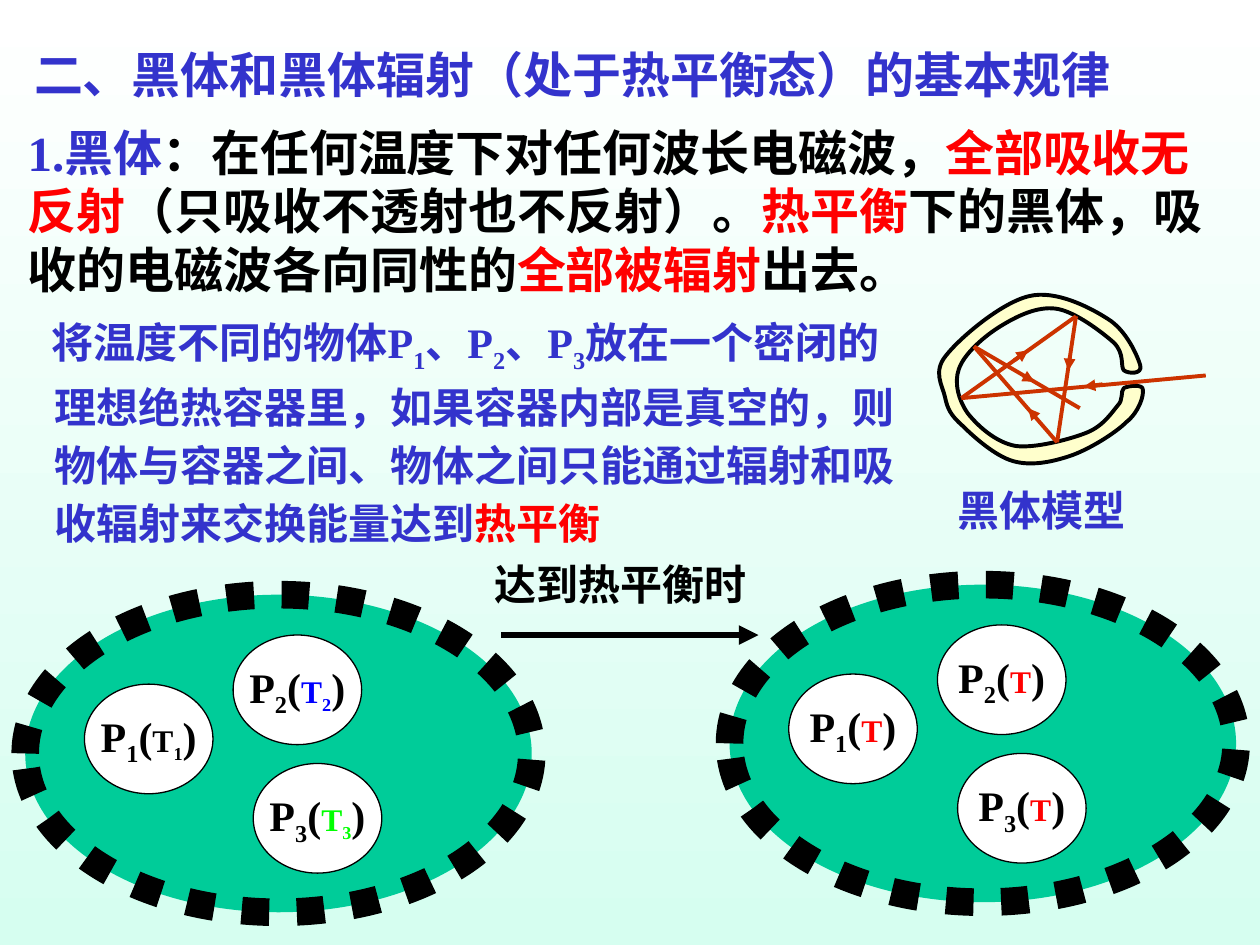
from dataclasses import dataclass

from lxml import etree
from pptx import Presentation
from pptx.dml.color import RGBColor
from pptx.enum.dml import MSO_LINE
from pptx.enum.shapes import MSO_CONNECTOR, MSO_SHAPE
from pptx.enum.text import MSO_ANCHOR, MSO_AUTO_SIZE, PP_ALIGN
from pptx.oxml.ns import qn
from pptx.util import Inches, Pt


@dataclass(frozen=True)
class Theme:
    blue: str = "3333CC"
    black: str = "000000"
    red: str = "FF0000"
    green: str = "00FF00"
    bright_blue: str = "0000FF"
    white: str = "FFFFFF"
    mint: str = "D6FEF0"
    chamber: str = "00CC99"
    wall: str = "FFFFCC"
    ray: str = "CC3300"
    latin: str = "Times New Roman"
    asian: str = "Noto Sans CJK SC"
    large: int = 28
    medium: int = 24
    small: int = 18


THEME = Theme()
OVAL, STRAIGHT = MSO_SHAPE.OVAL, MSO_CONNECTOR.STRAIGHT
LEFT, CENTER = PP_ALIGN.LEFT, PP_ALIGN.CENTER
TOP, MIDDLE = MSO_ANCHOR.TOP, MSO_ANCHOR.MIDDLE

# Content: runs are (text, colour) or (text, colour, is subscript)
TITLE = [("二、", THEME.blue), ("黑体和黑体辐射（处于热平衡态）的基本规律", THEME.blue)]
DEFINITION = [
    ("1.", THEME.blue), ("黑体", THEME.blue),
    ("：在任何温度下对任何波长电磁波，", THEME.black),
    ("全部吸收无反射", THEME.red),
    ("（只吸收不透射也不反射）。", THEME.black),
    ("热平衡", THEME.red),
    ("下的黑体，吸收的电磁波各向同性的", THEME.black),
    ("全部被辐射", THEME.red), ("出去。", THEME.black),
]
EXPLANATION = [
    ("将温度不同的物体P", THEME.blue), ("1", THEME.blue, True),
    ("、P", THEME.blue), ("2", THEME.blue, True),
    ("、P", THEME.blue), ("3", THEME.blue, True),
    ("放在一个密闭的理想绝热容器里，如果容器内部是真空的，"
     "则物体与容器之间、物体之间只能通过辐射和吸收辐射来交换能量达到", THEME.blue),
    ("热平衡", THEME.red),
]
LABELS = [
    ("黑体模型", THEME.blue, (7.5, 3.8, 1.76, 0.5)),
    ("达到热平衡时", THEME.black, (3.83, 4.38, 2.2, 0.5)),
]

# Cavity wall: a start point, then Bezier triples
CAVITY_START = (7.64, 3.38)
CAVITY_CURVES = [
    (7.55, 3.3, 7.52, 3.25, 7.5, 3.15), (7.48, 3.06, 7.4, 2.95, 7.51, 2.82),
    (7.62, 2.68, 7.95, 2.4, 8.17, 2.35), (8.38, 2.3, 8.65, 2.44, 8.79, 2.53),
    (8.94, 2.62, 9.03, 2.83, 9.05, 2.9), (9.07, 2.97, 8.96, 2.97, 8.92, 2.94),
    (8.89, 2.91, 8.93, 2.81, 8.84, 2.72), (8.75, 2.64, 8.53, 2.47, 8.38, 2.45),
    (8.23, 2.43, 8.07, 2.51, 7.94, 2.59), (7.81, 2.67, 7.65, 2.81, 7.61, 2.93),
    (7.57, 3.04, 7.61, 3.18, 7.68, 3.28), (7.76, 3.38, 7.9, 3.51, 8.06, 3.54),
    (8.21, 3.56, 8.48, 3.49, 8.61, 3.44), (8.75, 3.39, 8.82, 3.28, 8.87, 3.22),
    (8.92, 3.17, 8.89, 3.11, 8.92, 3.08), (8.96, 3.06, 9.07, 3.05, 9.07, 3.09),
    (9.08, 3.14, 9.04, 3.27, 8.94, 3.35), (8.85, 3.44, 8.64, 3.57, 8.49, 3.62),
    (8.34, 3.67, 8.18, 3.7, 8.04, 3.66), (7.9, 3.62, 7.73, 3.47, 7.64, 3.38),
]
RAY_POINTS = [(9.57, 2.98), (7.63, 3.16), (8.54, 2.51), (8.39, 3.51),
              (7.73, 2.75), (8.57, 3.24)]
RAY_ARROWS = [
    ((8.75, 3.05), (8.6, 3.07)), ((8.05, 2.86), (8.16, 2.78)),
    ((8.49, 2.84), (8.48, 2.94)), ((8.22, 3.31), (8.16, 3.24)),
    ((8.12, 2.98), (8.21, 3.03)),
]

# Chambers: corner, then temperature colour and subscript flag per body
CHAMBER_SIZE, BODY_SIZE = (4.02, 2.52), (1.02, 0.87)
BODY_OFFSETS = {"1": (0.47, 0.71), "3": (1.81, 1.34), "2": (1.65, 0.32)}
CHAMBERS = [
    ((0.2, 4.72), {"1": THEME.black, "2": THEME.bright_blue, "3": THEME.green}, True),
    ((5.79, 4.64), dict.fromkeys("123", THEME.red), False),
]
EQUILIBRIUM_ARROW = ((3.98, 5.04), (6.02, 5.04))


def color(value):
    return RGBColor.from_string(value)


def add_run(paragraph, text, run_color, size, subscript=False):
    run = paragraph.add_run()
    run.text = text
    font = run.font
    font.size, font.bold, font.name = Pt(size), True, THEME.latin
    font.color.rgb = color(run_color)
    properties = font._element
    if subscript:
        properties.set("baseline", "-25000")
    latin = properties.find(qn("a:latin"))
    latin.addnext(properties.makeelement(qn("a:ea"), {"typeface": THEME.asian}))


def fill_text(shape, runs, size, box, pitch=1.2, indent=(0, 0), wrap=True):
    shape.left, shape.top, shape.width, shape.height = map(Inches, box)
    frame = shape.text_frame
    frame.word_wrap, frame.auto_size = wrap, MSO_AUTO_SIZE.NONE
    frame.vertical_anchor = TOP
    paragraph = frame.paragraphs[0]
    properties = paragraph._p.get_or_add_pPr()
    properties.set("marL", str(Inches(indent[0])))
    properties.set("indent", str(Inches(indent[1])))
    etree.SubElement(properties, qn("a:buNone"))
    paragraph.alignment = LEFT
    paragraph.space_before = Pt(0)
    paragraph.line_spacing = Pt(round(pitch * size, 1))
    for text, run_color, *flags in runs:
        add_run(paragraph, text, run_color, size, *flags)


def add_line(shapes, start, end, line_color, width, arrow=False):
    line = shapes.add_connector(STRAIGHT, *map(Inches, (*start, *end)))
    line.line.color.rgb, line.line.width = color(line_color), Pt(width)
    if arrow:
        etree.SubElement(line.line._get_or_add_ln(), qn("a:tailEnd"), type="triangle")
    etree.SubElement(line._element.spPr, qn("a:effectLst"))


def style_shape(shape, fill_color, width):
    shape.shadow.inherit = False
    shape.fill.solid()
    shape.fill.fore_color.rgb = color(fill_color)
    shape.line.color.rgb, shape.line.width = color(THEME.black), Pt(width)


def add_cavity(shapes):
    points = [tuple(map(Inches, curve[i:i + 2]))
              for curve in CAVITY_CURVES for i in (0, 2, 4)]
    builder = shapes.build_freeform(*map(Inches, CAVITY_START))
    builder.add_line_segments(points, close=True)
    cavity = builder.convert_to_shape()
    # Turn every three straight segments into one Bezier curve
    segments = list(cavity._element.iter(qn("a:lnTo")))
    for first in range(0, len(segments), 3):
        curve = segments[first].makeelement(qn("a:cubicBezTo"), {})
        segments[first].addprevious(curve)
        for segment in segments[first:first + 3]:
            curve.append(segment[0])
            segment.getparent().remove(segment)
    style_shape(cavity, THEME.wall, 2.25)


def add_chamber(shapes, corner, temperatures, numbered):
    chamber = shapes.add_shape(OVAL, *map(Inches, (*corner, *CHAMBER_SIZE)))
    style_shape(chamber, THEME.chamber, 15.75)
    chamber.line.dash_style = MSO_LINE.ROUND_DOT
    for number, (dx, dy) in BODY_OFFSETS.items():
        place = (corner[0] + dx, corner[1] + dy, *BODY_SIZE)
        body = shapes.add_shape(OVAL, *map(Inches, place))
        style_shape(body, THEME.white, 0.75)
        frame = body.text_frame
        frame.word_wrap, frame.vertical_anchor = False, MIDDLE
        paragraph = frame.paragraphs[0]
        paragraph.alignment = CENTER
        add_run(paragraph, "P", THEME.black, THEME.medium)
        add_run(paragraph, number, THEME.black, THEME.medium, True)
        add_run(paragraph, "(", THEME.black, THEME.medium)
        add_run(paragraph, "T", temperatures[number], THEME.small)
        if numbered:
            add_run(paragraph, number, temperatures[number], THEME.small, True)
        add_run(paragraph, ")", THEME.black, THEME.medium)


def main():
    presentation = Presentation()
    presentation.slide_width, presentation.slide_height = Inches(10), Inches(7.5)
    slide = presentation.slides.add_slide(presentation.slide_layouts[3])
    shapes = slide.shapes

    # Background
    background = slide.background.fill
    background.gradient()
    background.gradient_angle = 270
    for stop, position, value in zip(background.gradient_stops, (0, 1),
                                     (THEME.white, THEME.mint)):
        stop.position, stop.color.rgb = position, color(value)

    # Title and body text
    title, definition, explanation = slide.placeholders
    fill_text(title, TITLE, THEME.large, (0.17, 0.3, 9.64, 0.57))
    fill_text(definition, DEFINITION, THEME.large, (0.12, 0.92, 9.76, 1.97))
    fill_text(explanation, EXPLANATION, THEME.medium, (-0.04, 2.46, 7.36, 2.39),
              pitch=1.38, indent=(0.37, -0.02))

    # Black body model
    add_cavity(shapes)
    for start, end in zip(RAY_POINTS, RAY_POINTS[1:]):
        add_line(shapes, start, end, THEME.ray, 2.25)
    for start, end in RAY_ARROWS:
        add_line(shapes, start, end, THEME.ray, 2.25, arrow=True)

    # Chambers before and after equilibrium
    for chamber in CHAMBERS:
        add_chamber(shapes, *chamber)
    add_line(shapes, *EQUILIBRIUM_ARROW, THEME.black, 3.75, arrow=True)
    for text, label_color, box in LABELS:
        label = shapes.add_textbox(0, 0, 0, 0)
        fill_text(label, [(text, label_color)], THEME.medium, box, wrap=False)

    presentation.save("out.pptx")


if __name__ == "__main__":
    main()
